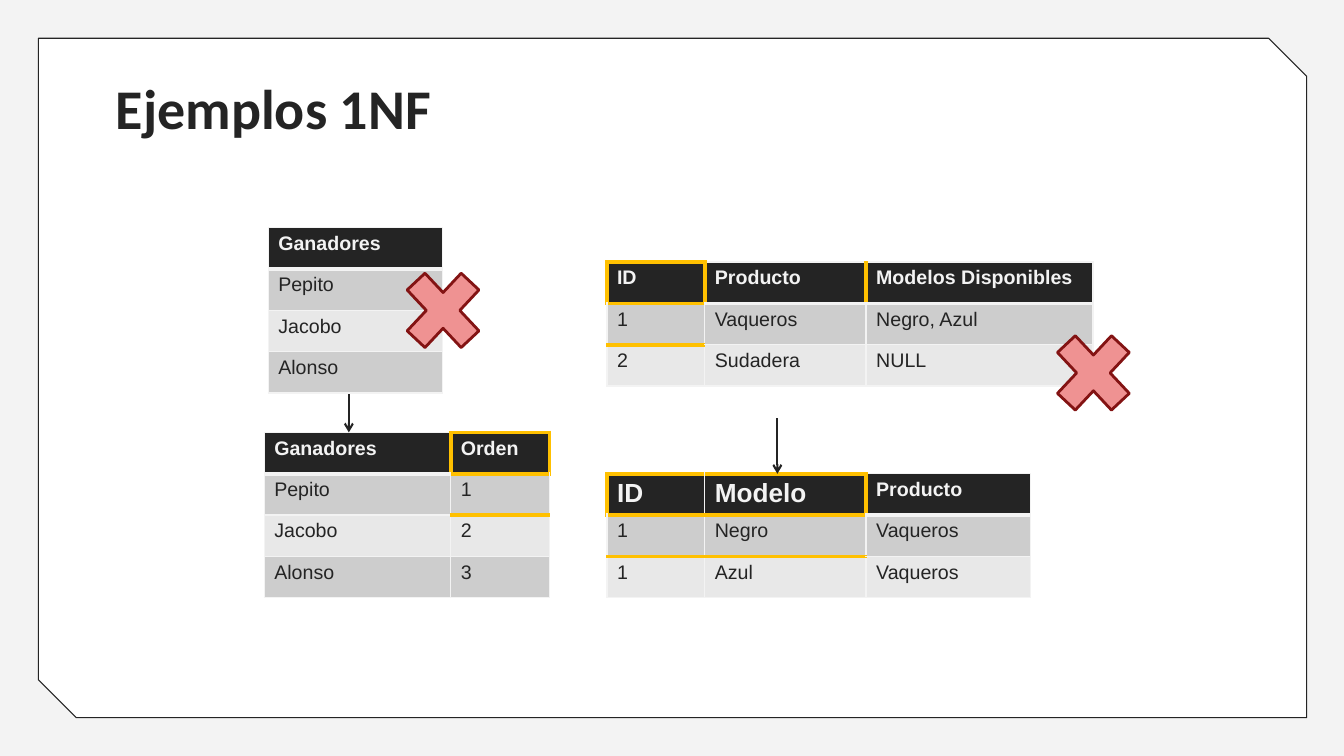
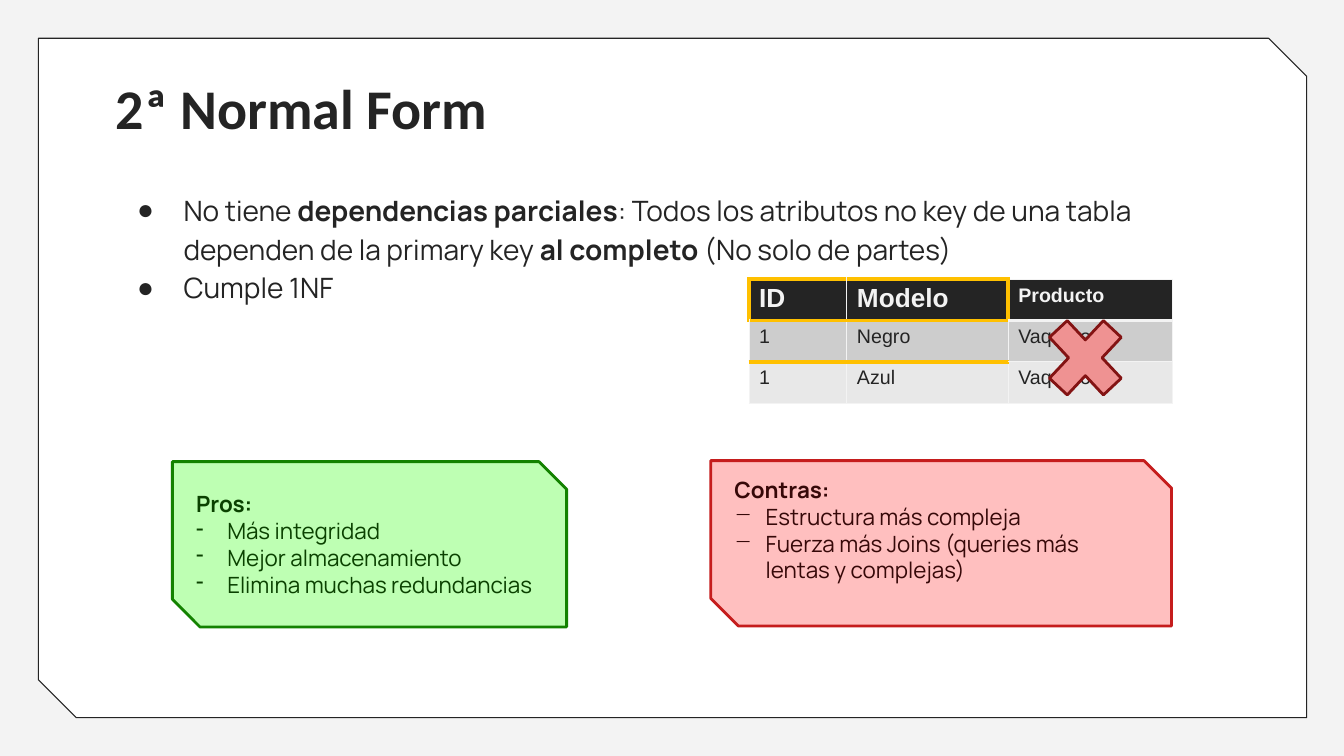
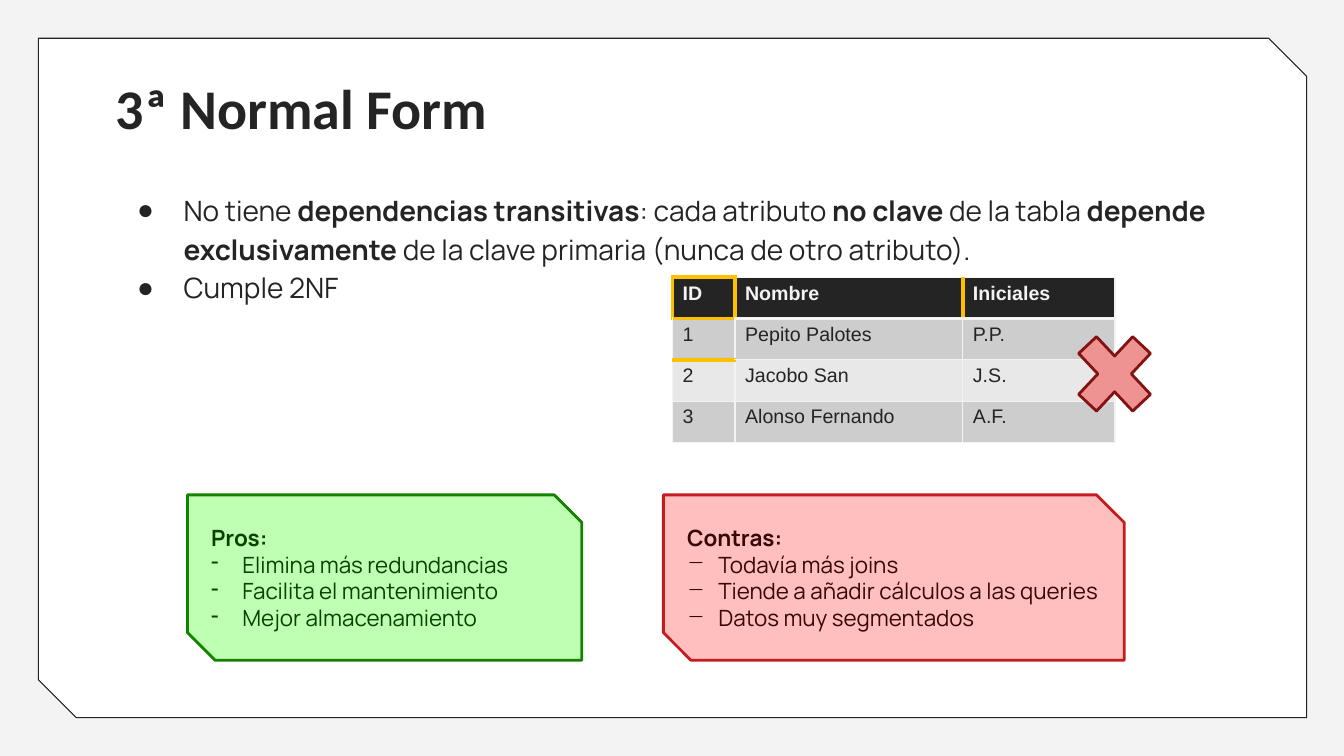
import pptx
import pptx.util
import pptx.dml.color
import pptx.enum.shapes
import pptx.enum.text
import pptx.oxml.ns
from lxml import etree

RGBColor = pptx.dml.color.RGBColor
Inches = pptx.util.Inches
Pt = pptx.util.Pt
qn = pptx.oxml.ns.qn
Kind = pptx.enum.shapes.MSO_SHAPE
Anchor = pptx.enum.text.MSO_ANCHOR

INK = RGBColor(0x24, 0x24, 0x24)
PALE = RGBColor(0xF3, 0xF3, 0xF3)
WHITE = RGBColor(0xFF, 0xFF, 0xFF)
GOLD = RGBColor(0xFF, 0xC0, 0x00)
BANDS = RGBColor(0xCD, 0xCD, 0xCD), RGBColor(0xE8, 0xE8, 0xE8)
ROSE = RGBColor(0xEF, 0x92, 0x92)
WINE = RGBColor(0x83, 0x13, 0x13)
# Fill, line, text
GREEN = RGBColor(0xBE, 0xFF, 0xB3), RGBColor(0x13, 0x82, 0x00), RGBColor(0x0A, 0x41, 0x00)
RED = RGBColor(0xFF, 0xBF, 0xBF), RGBColor(0xC5, 0x1D, 0x1D), RGBColor(0x36, 0x08, 0x08)

HEAD_FONT, BODY_FONT, CELL_FONT = "Calibri", "Manrope", "Arial"
ROW = 0.41


def set_edge(cell, side, color, width):
    line = etree.SubElement(cell._tc.get_or_add_tcPr(), qn("a:ln" + side), w=str(Pt(width)))
    fill = etree.SubElement(line, qn("a:solidFill"))
    etree.SubElement(fill, qn("a:srgbClr"), val=str(color))


def set_bullet(para, mark, color, left, hang):
    props = para._p.get_or_add_pPr()
    props.set("marL", str(Inches(left)))
    props.set("indent", str(-Inches(hang)))
    tint = etree.SubElement(props, qn("a:buClr"))
    etree.SubElement(tint, qn("a:srgbClr"), val=str(color))
    etree.SubElement(props, qn("a:buChar"), char=mark)


class Deck:
    """Holds the shared style and the slide being built."""

    def __init__(self):
        self.show = pptx.Presentation()
        self.show.slide_width = Inches(13.33)
        self.show.slide_height = Inches(7.5)
        self.slide = None
        back = self.show.slide_master.background.fill
        back.solid()
        back.fore_color.rgb = PALE

    def start(self, title, body=()):
        """Add a slide; body is a list of paragraphs made of (text, bold) runs."""
        first = self.slide is None
        self.slide = self.show.slides.add_slide(self.show.slide_layouts[1 if body else 5])
        if first:
            self.add_frame()
        frame = self.place(self.slide.shapes.title, 0.63, 0.84)
        self.add_runs(frame.paragraphs[0], [(title, True)], HEAD_FONT, 40, INK)
        if body:
            frame = self.place(self.slide.placeholders[1], 1.77, 4.98)
            for num, runs in enumerate(body):
                para = frame.add_paragraph() if num else frame.paragraphs[0]
                self.add_runs(para, runs, BODY_FONT, 20, INK)
                para.line_spacing = 1.15
                set_bullet(para, "●", INK, 0.67, 0.46)

    def place(self, holder, top, height):
        holder.left, holder.top = Inches(1.05), Inches(top)
        holder.width, holder.height = Inches(11.23), Inches(height)
        frame = holder.text_frame
        frame.margin_left = frame.margin_right = Inches(0.1)
        frame.margin_top = frame.margin_bottom = Inches(0.1)
        frame.vertical_anchor = Anchor.TOP
        frame.auto_size = pptx.enum.text.MSO_AUTO_SIZE.NONE
        frame.word_wrap = True
        return frame

    def add_runs(self, para, runs, font, size, color):
        para.alignment = pptx.enum.text.PP_ALIGN.LEFT
        para.space_before = Pt(0)
        for text, bold in runs:
            run = para.add_run()
            run.text = text
            run.font.name = font
            run.font.size = Pt(size)
            run.font.bold = bold
            run.font.color.rgb = color

    def add_shape(self, kind, box, fill, line, width):
        shape = self.slide.shapes.add_shape(kind, *map(Inches, box))
        shape.shadow.inherit = False
        shape.fill.solid()
        shape.fill.fore_color.rgb = fill
        shape.line.color.rgb = line
        shape.line.width = Pt(width)
        return shape

    def add_frame(self):
        """Put the white panel on the master, behind all slides."""
        panel = self.add_shape(Kind.SNIP_2_DIAG_RECTANGLE, (0.38, 0.38, 12.58, 6.74), WHITE, INK, 0.75)
        panel.adjustments[0] = 0
        panel.adjustments[1] = 0.056
        self.show.slide_master.shapes.element.insert(2, panel.element)

    def add_cross(self, left, top):
        self.add_shape(Kind.MATH_MULTIPLY, (left, top, 1.03, 1.1), ROSE, WINE, 2)

    def add_note(self, left, top, width, tones, mark, head, items, lift=0):
        """Add a snipped box with a bold head and a list; lift raises the text."""
        fill, line, color = tones
        box = self.add_shape(Kind.SNIP_2_DIAG_RECTANGLE, (left, top, width, 1.64), fill, line, 2)
        frame = box.text_frame
        frame.word_wrap = True
        frame.vertical_anchor = Anchor.MIDDLE
        frame.margin_bottom = Inches(0.05 + lift)
        self.add_runs(frame.paragraphs[0], [(head, True)], BODY_FONT, 16, color)
        for item in items:
            para = frame.add_paragraph()
            self.add_runs(para, [(item, False)], BODY_FONT, 16, color)
            set_bullet(para, mark, color, 0.31, 0.31)

    def add_arrow(self, x, top, end):
        kind = pptx.enum.shapes.MSO_CONNECTOR.STRAIGHT
        arrow = self.slide.shapes.add_connector(kind, Inches(x), Inches(top), Inches(x), Inches(end))
        arrow.line.color.rgb = INK
        arrow.line.width = Pt(1.5)
        etree.SubElement(arrow.line._get_or_add_ln(), qn("a:tailEnd"), type="arrow")
        etree.SubElement(arrow.element.spPr, qn("a:effectLst"))

    def add_table(self, left, top, widths, rows, keys=(), edges=(), key_size=14):
        """Add a table; keys are gold columns, edges the gold upright lines of the head."""
        size = map(Inches, (left, top, sum(widths), ROW * len(rows)))
        table = self.slide.shapes.add_table(len(rows), len(widths), *size).table
        table.first_row = table.horz_banding = False
        for col, width in zip(table.columns, widths):
            col.width = Inches(width)
        for r, row in enumerate(rows):
            table.rows[r].height = Inches(ROW)
            for c, text in enumerate(row):
                cell = table.cell(r, c)
                head, key = r == 0, c in keys
                for side, edge in (("L", c), ("R", c + 1)):
                    gold = head and edge in edges
                    set_edge(cell, side, GOLD if gold else PALE, 3 if gold else 1)
                for side, edge in (("T", r), ("B", r + 1)):
                    gold = key and edge < 3
                    set_edge(cell, side, GOLD if gold else PALE, 3 if gold or edge == 1 else 1)
                cell.fill.solid()
                cell.fill.fore_color.rgb = INK if head else BANDS[(r - 1) % 2]
                para = cell.text_frame.paragraphs[0]
                self.add_runs(para, [(text, head)], CELL_FONT, key_size if head and key else 14,
                              PALE if head else INK)

    def add_models(self, left, top):
        rows = [("ID", "Modelo", "Producto"), ("1", "Negro", "Vaqueros"), ("1", "Azul", "Vaqueros")]
        self.add_table(left, top, (0.97, 1.6, 1.63), rows, (0, 1), (0, 2), 18.7)


def first_form(deck):
    deck.start("Ejemplos 1NF")
    goods = [("ID", "Producto", "Modelos Disponibles"), ("1", "Vaqueros", "Negro, Azul"),
             ("2", "Sudadera", "NULL")]
    deck.add_table(6.02, 2.6, (0.97, 1.6, 2.25), goods, (0,), (0, 1, 2))
    deck.add_models(6.02, 4.7)
    deck.add_arrow(7.71, 4.15, 4.7)
    names = ["Ganadores", "Pepito", "Jacobo", "Alonso"]
    deck.add_table(2.66, 2.26, (1.73,), [(name,) for name in names])
    ranks = ["Orden", "1", "2", "3"]
    deck.add_table(2.62, 4.29, (1.85, 0.98), list(zip(names, ranks)), (1,), (1, 2))
    deck.add_arrow(3.46, 3.91, 4.29)
    deck.add_cross(3.88, 2.53)
    deck.add_cross(10.33, 3.15)


def second_form(deck):
    deck.start("2ª Normal Form", [
        [("No tiene ", False), ("dependencias parciales", True),
         (": Todos los atributos no key de una tabla dependen de la primary key ", False),
         ("al completo", True), (" (No solo de partes)", False)],
        [("Cumple 1NF", False)]])
    deck.add_models(7.43, 2.77)
    deck.add_cross(10.25, 3)
    deck.add_note(1.71, 4.58, 3.91, GREEN, "-", "Pros:", [
        "Más integridad", "Mejor almacenamiento", "Elimina muchas redundancias"])
    deck.add_note(7.05, 4.57, 4.57, RED, "−", "Contras:", [
        "Estructura más compleja", "Fuerza más Joins (queries más lentas y complejas)"], 0.27)


def third_form(deck):
    deck.start("3ª Normal Form", [
        [("No tiene ", False), ("dependencias transitivas", True), (": cada atributo ", False),
         ("no clave ", True), ("de la tabla ", False), ("depende exclusivamente", True),
         (" de la clave primaria (nunca de otro atributo).", False)],
        [("Cumple 2NF", False)]])
    people = [("ID", "Nombre", "Iniciales"), ("1", "Pepito Palotes", "P.P."),
              ("2", "Jacobo San", "J.S."), ("3", "Alonso Fernando", "A.F.")]
    deck.add_table(6.67, 2.75, (0.62, 2.26, 1.51), people, (0,), (0, 1, 2))
    deck.add_cross(10.54, 3.16)
    deck.add_note(1.86, 4.91, 3.91, GREEN, "-", "Pros:", [
        "Elimina más redundancias", "Facilita el mantenimiento", "Mejor almacenamiento"])
    deck.add_note(6.58, 4.91, 4.57, RED, "−", "Contras:", [
        "Todavía más joins", "Tiende a añadir cálculos a las queries", "Datos muy segmentados"])


def main():
    deck = Deck()
    first_form(deck)
    second_form(deck)
    third_form(deck)
    deck.show.save("out.pptx")


if __name__ == "__main__":
    main()
